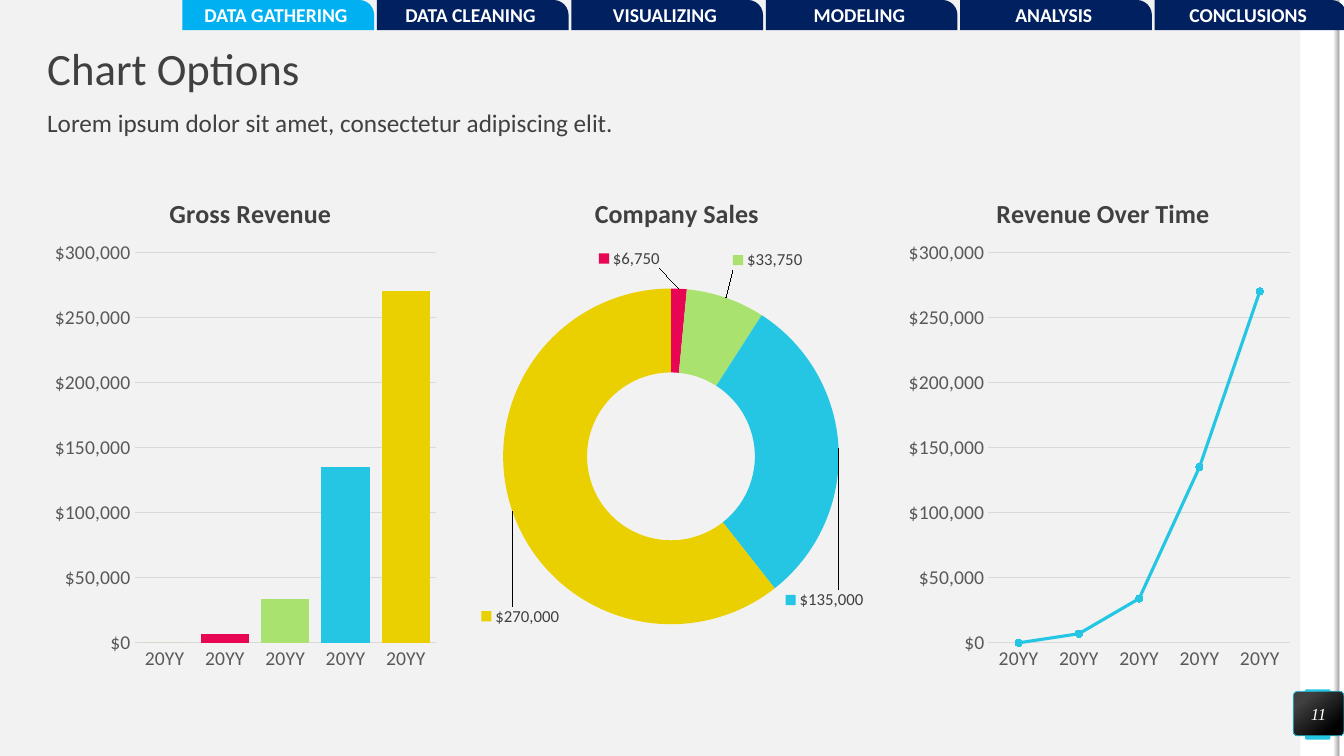
from dataclasses import dataclass

import pptx
import pptx.chart.data
import pptx.dml.color
import pptx.enum.chart
import pptx.enum.shapes
import pptx.enum.text
import pptx.oxml
import pptx.oxml.ns
import pptx.util

Cm, Pt = pptx.util.Cm, pptx.util.Pt
Kind = pptx.enum.chart.XL_CHART_TYPE
Preset = pptx.enum.shapes.MSO_SHAPE
Align = pptx.enum.text.PP_ALIGN
Anchor = pptx.enum.text.MSO_ANCHOR
qn = pptx.oxml.ns.qn

INK, GREY, RULE, PAPER, WHITE = "404040", "595959", "D9D9D9", "F2F2F2", "FFFFFF"
NAVY, SKY = "002060", "00B0F0"
PINK, GREEN, CYAN, YELLOW = "E80554", "A9E26F", "25C6E3", "EAD000"
POINT_COLOURS = [GREEN, PINK, GREEN, CYAN, YELLOW]
DOLLARS = "[$$-409]#,##0"
YEARS = ["20YY"] * 5
REVENUE = [0, 7000, 34000, 135000, 270000]
AXIS_PLOT = (0.22, 0.167, 0.76, 0.757)


@dataclass
class Box:
    left: float
    top: float
    width: float
    height: float

    def lengths(self) -> list:
        return [Cm(n) for n in (self.left, self.top, self.width, self.height)]


@dataclass
class ChartPanel:
    title: str
    title_left: float
    left: float
    kind: Kind
    categories: list
    values: list
    plot_area: tuple


@dataclass
class LabelShift:
    """Move of a ring label from the middle of its slice, as chart fractions."""
    point: int
    across: float
    down: float


PANELS = [
    ChartPanel("Gross Revenue", 0.296, 1.19, Kind.COLUMN_CLUSTERED, YEARS, REVENUE, AXIS_PLOT),
    ChartPanel("Company Sales", 0.293, 11.94, Kind.DOUGHNUT, ["1", "2", "3", "4", "5"],
               [0, 6750, 33750, 135000, 270000], (0.074, 0.236, 0.846, 0.653)),
    ChartPanel("Revenue Over Time", 0.228, 22.71, Kind.LINE_MARKERS_STACKED, YEARS, REVENUE,
               AXIS_PLOT),
]
LABEL_SHIFTS = [LabelShift(1, -0.12, -0.14), LabelShift(2, 0.14, -0.15),
                LabelShift(3, 0.07, 0.29), LabelShift(4, -0.08, 0.23)]
TABS = ["DATA GATHERING", "DATA CLEANING", "VISUALIZING", "MODELING", "ANALYSIS", "CONCLUSIONS"]


def colour(value: str) -> pptx.dml.color.RGBColor:
    return pptx.dml.color.RGBColor.from_string(value)


def paint(target, value: str) -> None:
    """Give a shape, point, marker or line format a solid fill."""
    target.fill.solid()
    target.fill.fore_color.rgb = colour(value)


def style_font(font, size: float, value: str, name: str = "Calibri",
               bold: bool = False, italic: bool = False) -> None:
    font.size, font.name, font.bold, font.italic = Pt(size), name, bold, italic
    font.color.rgb = colour(value)


def add_panel(page, preset, box: Box, fill: str, corner: float | None = None):
    shape = page.shapes.add_shape(preset, *box.lengths())
    shape.shadow.inherit = False
    shape.line.fill.background()
    paint(shape, fill)
    if corner is not None:
        shape.adjustments[0] = corner
    return shape


def add_gradient(shape, stops: list, angle: float) -> None:
    shape.fill.gradient()
    shape.fill.gradient_angle = angle
    for stop, (position, value) in zip(shape.fill.gradient_stops, stops):
        stop.position = position
        stop.color.rgb = colour(value)


def write(shape, text: str, size: float, value: str, align=Align.LEFT,
          anchor=Anchor.MIDDLE, **style) -> None:
    frame = shape.text_frame
    frame.word_wrap = True
    frame.vertical_anchor = anchor
    frame.margin_left = frame.margin_right = frame.margin_top = frame.margin_bottom = 0
    para = frame.paragraphs[0]
    para.alignment = align
    para.line_spacing = 0.9 if align == Align.LEFT else 1.0
    span = para.add_run()
    span.text = text
    style_font(span.font, size, value, **style)


def set_layout(parent, index: int, inner: str = "", modes: bool = True, **fractions: float) -> None:
    """Place a chart part by fractions of the chart's width and height."""
    for old in parent.findall(qn("c:layout")):
        parent.remove(old)
    edges = "".join(f'<c:{key}Mode val="edge"/>' for key in ("x", "y") if modes)
    sizes = "".join(f'<c:{key} val="{value}"/>' for key, value in fractions.items())
    parent.insert(index, pptx.oxml.parse_xml(
        f'<c:layout {pptx.oxml.ns.nsdecls("c")}><c:manualLayout>{inner}{edges}{sizes}'
        "</c:manualLayout></c:layout>"))


def style_axes(chart) -> None:
    for axis in (chart.category_axis, chart.value_axis):
        axis.major_tick_mark = axis.minor_tick_mark = pptx.enum.chart.XL_TICK_MARK.NONE
        style_font(axis.tick_labels.font, 14, GREY)
    chart.category_axis.format.line.color.rgb = colour(RULE)
    chart.category_axis.format.line.width = Pt(0.75)
    values = chart.value_axis
    values.minimum_scale, values.maximum_scale, values.major_unit = 0, 300000, 50000
    values.format.line.fill.background()
    values.major_gridlines.format.line.color.rgb = colour(RULE)
    values.major_gridlines.format.line.width = Pt(0.75)
    values.tick_labels.number_format = DOLLARS
    values.tick_labels.number_format_is_linked = False


def style_ring_labels(series) -> None:
    labels = series.data_labels
    labels.show_value = labels.show_legend_key = True
    labels.number_format, labels.number_format_is_linked = DOLLARS, False
    style_font(labels.font, 12, INK)
    names = pptx.oxml.ns.nsdecls("c")
    labels._element.insert(0, pptx.oxml.parse_xml(
        f'<c:dLbl {names}><c:idx val="0"/><c:delete val="1"/></c:dLbl>'))
    for shift in LABEL_SHIFTS:
        label = series.points[shift.point].data_label
        style_font(label.font, 12, INK)
        element = label._dLbl
        set_layout(element, 1, modes=False, x=shift.across, y=shift.down)
        element.insert(2, pptx.oxml.parse_xml(
            f'<c:numFmt {names} formatCode="{DOLLARS}" sourceLinked="0"/>'))
        element.find(qn("c:showLegendKey")).set("val", "1")


def add_chart(page, panel: ChartPanel) -> None:
    data = pptx.chart.data.CategoryChartData(number_format=DOLLARS)
    data.categories = panel.categories
    data.add_series("Series 1", panel.values)
    box = Box(panel.left, 4.19, 10, 13)
    chart = page.shapes.add_chart(panel.kind, *box.lengths(), data).chart
    style_font(chart.font, 10, "000000")
    chart.has_legend = False
    span = chart.chart_title.text_frame.paragraphs[0].add_run()
    span.text = panel.title
    style_font(span.font, 18.6, INK, bold=True)
    set_layout(chart.chart_title._element, 1, x=panel.title_left, y=0.047)
    set_layout(chart._chartSpace.chart.plotArea, 0, '<c:layoutTarget val="inner"/>',
               **dict(zip("xywh", panel.plot_area)))

    plot = chart.plots[0]
    series = plot.series[0]
    plot.vary_by_categories = panel.kind == Kind.DOUGHNUT
    if panel.kind == Kind.LINE_MARKERS_STACKED:
        series.smooth = False
        series.format.line.color.rgb = colour(CYAN)
        series.format.line.width = Pt(2.25)
        series.marker.style = pptx.enum.chart.XL_MARKER_STYLE.CIRCLE
        series.marker.size = 5
        paint(series.marker.format, CYAN)
        series.marker.format.line.color.rgb = colour(CYAN)
    else:
        for index, value in enumerate(POINT_COLOURS):
            paint(series.points[index].format, value)
    if panel.kind == Kind.DOUGHNUT:
        plot._element.find(qn("c:holeSize")).set("val", "84")
        style_ring_labels(series)
    else:
        style_axes(chart)
    if panel.kind == Kind.COLUMN_CLUSTERED:
        plot.gap_width = 25


def main() -> None:
    deck = pptx.Presentation()
    deck.slide_width, deck.slide_height = Cm(33.87), Cm(19.05)
    page = deck.slides.add_slide(deck.slide_layouts[6])
    paint(page.background, PAPER)

    add_panel(page, Preset.RECTANGLE, Box(32.77, 0, 0.99, 19.05), WHITE)
    add_panel(page, Preset.ROUNDED_RECTANGLE, Box(32.89, 17.37, 0.64, 1.27), CYAN, 0.07)
    add_panel(page, Preset.RECTANGLE, Box(33.75, 0, 0.12, 19.05), WHITE)
    edge = add_panel(page, Preset.RECTANGLE, Box(33.62, 0, 0.13, 19.05), RULE)
    add_gradient(edge, [(0, PAPER), (1, "A6A6A6")], 0)

    heading = page.shapes.add_textbox(*Box(1.19, 1.19, 31.5, 1.19).lengths())
    write(heading, "Chart Options", 32, INK)
    subtitle = page.shapes.add_textbox(*Box(1.19, 2.79, 31.5, 1).lengths())
    write(subtitle, "Lorem ipsum dolor sit amet, consectetur adipiscing elit.", 18, INK,
          anchor=Anchor.TOP)

    badge = add_panel(page, Preset.ROUNDED_RECTANGLE, Box(32.59, 17.42, 1.28, 1.12), INK, 0.1)
    add_gradient(badge, [(0.2, INK), (0.82, "000000")], 310)
    badge.line.color.rgb = colour(CYAN)
    badge.line.width = Pt(0.5)
    write(badge, "11", 12, WHITE, Align.CENTER, name="Times New Roman", italic=True)

    for panel in PANELS:
        add_chart(page, panel)
    for index, name in enumerate(TABS):
        tab = add_panel(page, Preset.ROUND_1_RECTANGLE, Box(4.6 + 4.9 * index, 0, 4.83, 0.76),
                        NAVY if index else SKY, 0.5)
        write(tab, name, 14, WHITE, Align.CENTER, bold=True)

    deck.save("out.pptx")


if __name__ == "__main__":
    main()
